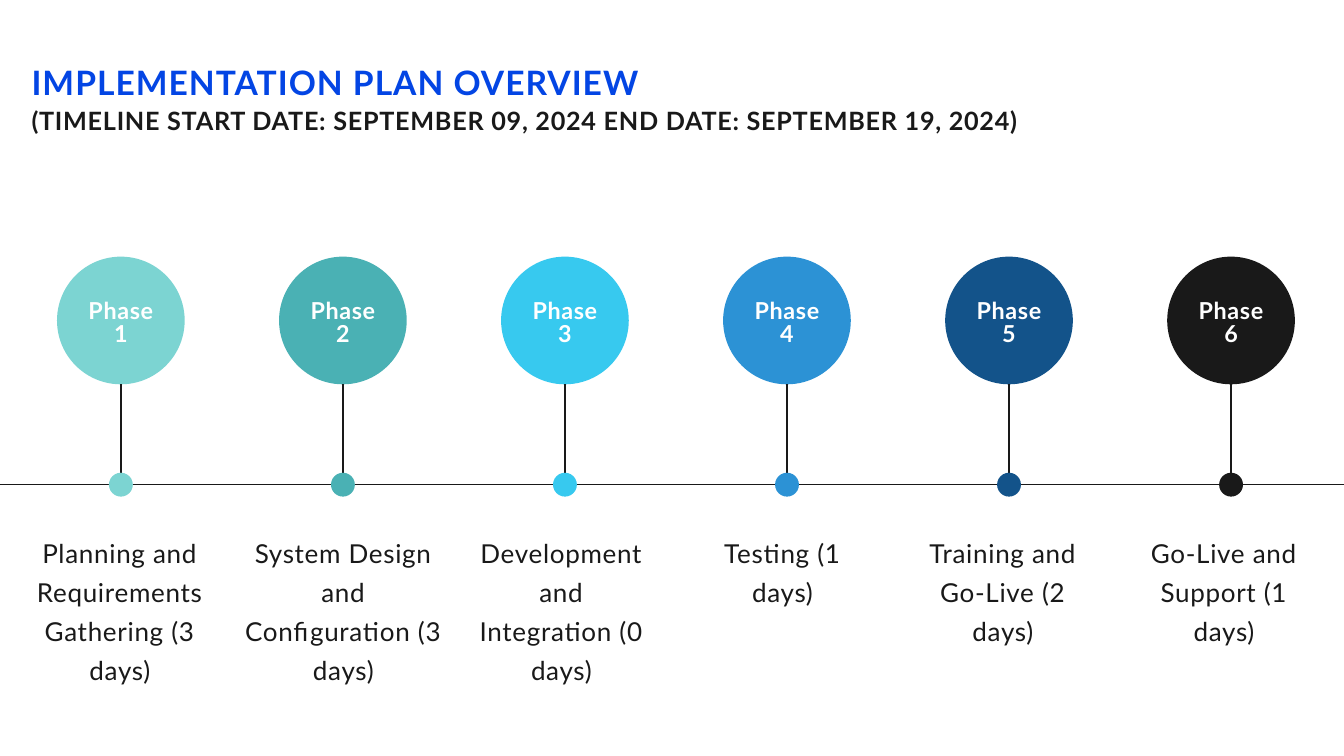
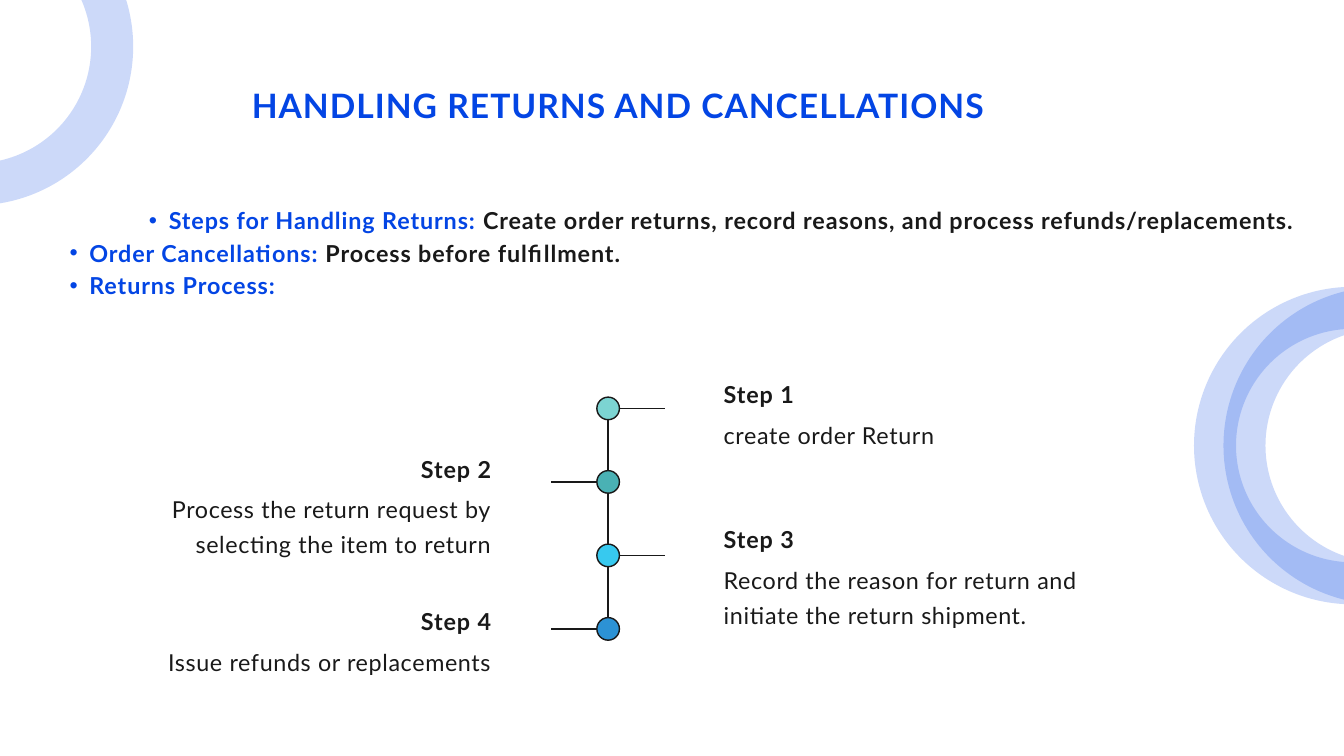
from dataclasses import dataclass

from lxml import etree
from pptx import Presentation
from pptx.dml.color import RGBColor
from pptx.enum import shapes, text
from pptx.oxml import ns
from pptx.util import Pt

BLUE = RGBColor(0x03, 0x45, 0xE4)
INK = RGBColor(0x19, 0x19, 0x19)
WHITE = RGBColor(0xFF, 0xFF, 0xFF)
AQUA = RGBColor(0x7C, 0xD4, 0xD2)
TEAL = RGBColor(0x4A, 0xB1, 0xB4)
SKY = RGBColor(0x37, 0xC9, 0xEF)
AZURE = RGBColor(0x2C, 0x92, 0xD5)
NAVY = RGBColor(0x13, 0x53, 0x8A)

FONT = "Lato"
LEFT, CENTER, RIGHT = text.PP_ALIGN.LEFT, text.PP_ALIGN.CENTER, text.PP_ALIGN.RIGHT
TITLE_STYLE = dict(size=36, bold=True, color=BLUE, tracking=1.1, leading=47.2)
SUBTITLE_STYLE = dict(size=27, bold=True, tracking=0.8, leading=35.4)
PHASE_STYLE = dict(size=25, bold=True, color=WHITE, tracking=0.7, leading=25, align=CENTER)
CAPTION_STYLE = dict(size=27.9, tracking=0.8, leading=41.9, align=CENTER)
STRONG_STYLE = dict(size=25, bold=True, tracking=1, leading=35)
DETAIL_STYLE = dict(size=25, tracking=0.7, leading=37.5)

PHASE_X, PHASE_PITCH = 129.5, 237.9
PHASE_TOP, PHASE_SIZE = 275, 136.8
TIMELINE_Y, MARKER_SIZE = 519.3, 25.6
STEP_X, STEP_Y, STEP_PITCH, STEP_SIZE = 651.6, 437.6, 78.75, 24.2
BRANCH_LENGTH = 49


@dataclass(frozen=True)
class Phase:
    caption: str
    color: RGBColor
    left: float
    width: float = 189.4
    lines: int = 4


@dataclass(frozen=True)
class Step:
    detail: str
    color: RGBColor
    top: float
    lines: int = 1


@dataclass(frozen=True)
class Ring:
    center_x: float
    center_y: float


PHASES = [
    Phase("Planning and Requirements Gathering (3 days)", AQUA, 33.8),
    Phase("System Design and Configuration (3 days)", TEAL, 261.4, 213.1),
    Phase("Development and Integration (0 days)", SKY, 506.9),
    Phase("Testing (1 days)", AZURE, 743.8, lines=2),
    Phase("Training and Go-Live (2 days)", NAVY, 979.9, lines=3),
    Phase("Go-Live and Support (1 days)", INK, 1216.8, lines=3),
]
STEPS = [
    Step("create order Return", AQUA, 402.5),
    Step("Process the return request by selecting the item to return", TEAL, 482.4, 2),
    Step("Record the reason for return and initiate the return shipment.", SKY, 558, 2),
    Step("Issue refunds or replacements", AZURE, 645.8),
]
RETURN_POINTS = [
    ("Steps for Handling Returns:",
     " Create order returns, record reasons, and process refunds/replacements.", RIGHT),
    ("Order Cancellations:", " Process before fulfillment.", LEFT),
    ("Returns Process:", "", LEFT),
]
RINGS = [Ring(1481, 477.4), Ring(-27.4, 50), Ring(1449.4, 477.4)]
RING_SIZE = 295.2


def add_bullet(paragraph) -> None:
    paragraph.level = 1
    properties = paragraph._p.get_or_add_pPr()
    properties.set("marL", str(Pt(42.5)))
    properties.set("indent", str(-Pt(21.25)))
    etree.SubElement(properties, ns.qn("a:buFont")).set("typeface", "Arial")
    etree.SubElement(properties, ns.qn("a:buChar")).set("char", "•")


def write(frame, *parts: str, size: float, leading: float, tracking: float,
          color: RGBColor = INK, tail_color: RGBColor = INK, bold: bool = False,
          align=LEFT, bullet: bool = False) -> None:
    first = frame.paragraphs[0]
    paragraph = frame.add_paragraph() if first.runs else first
    if bullet:
        add_bullet(paragraph)
    paragraph.alignment = align
    paragraph.line_spacing = Pt(leading)
    paragraph.space_before = paragraph.space_after = Pt(0)
    for index, part in enumerate(parts):
        run = paragraph.add_run()
        run.text = part
        run.font.name = FONT
        run.font.size = Pt(size)
        run.font.bold = bold
        run.font.color.rgb = tail_color if index else color
        run._r.get_or_add_rPr().set("spc", str(round(tracking * 100)))


def place(shape, left: float, top: float, width: float, height: float) -> None:
    shape.left, shape.top = Pt(left), Pt(top)
    shape.width, shape.height = Pt(width), Pt(height)


def prepare_frame(shape, anchor=text.MSO_ANCHOR.TOP, inset_top: float = 0):
    frame = shape.text_frame
    frame.word_wrap = True
    frame.auto_size = text.MSO_AUTO_SIZE.NONE
    frame.vertical_anchor = anchor
    frame.margin_left = frame.margin_right = frame.margin_bottom = Pt(0)
    frame.margin_top = Pt(inset_top)
    return frame


def place_frame(shape, left: float, top: float, width: float, height: float):
    place(shape, left, top, width, height)
    return prepare_frame(shape)


def add_label(slide, content: str, left: float, top: float, width: float,
              height: float, **style) -> None:
    box = slide.shapes.add_textbox(Pt(left), Pt(top), Pt(width), Pt(height))
    write(prepare_frame(box), content, **style)


def add_circle(slide, center_x: float, center_y: float, size: float,
               fill: RGBColor | None = None, line: RGBColor | None = None,
               line_width: float = 1.5):
    circle = slide.shapes.add_shape(
        shapes.MSO_SHAPE.OVAL, Pt(center_x - size / 2), Pt(center_y - size / 2),
        Pt(size), Pt(size))
    circle.shadow.inherit = False
    if fill is None:
        circle.fill.background()
    else:
        circle.fill.solid()
        circle.fill.fore_color.rgb = fill
    if line is None:
        circle.line.fill.background()
    else:
        circle.line.color.rgb = line
        circle.line.width = Pt(line_width)
    return circle


def add_line(slide, start_x: float, start_y: float, end_x: float, end_y: float) -> None:
    line = slide.shapes.add_connector(
        shapes.MSO_CONNECTOR.STRAIGHT, Pt(start_x), Pt(start_y), Pt(end_x), Pt(end_y))
    line.line.color.rgb = INK
    line.line.width = Pt(1.5)
    etree.SubElement(line._element.spPr, ns.qn("a:effectLst"))


def add_ring(slide, ring: Ring) -> None:
    circle = add_circle(slide, ring.center_x, ring.center_y, RING_SIZE,
                        line=BLUE, line_width=45)
    line_color = circle._element.spPr.find(".//" + ns.qn("a:ln")).find(
        ".//" + ns.qn("a:srgbClr"))
    etree.SubElement(line_color, ns.qn("a:alpha")).set("val", "20000")


def add_phase(slide, number: int, phase: Phase) -> None:
    center_x = PHASE_X + (number - 1) * PHASE_PITCH
    circle = add_circle(slide, center_x, PHASE_TOP + PHASE_SIZE / 2, PHASE_SIZE, phase.color)
    frame = prepare_frame(circle, text.MSO_ANCHOR.MIDDLE, inset_top=8)
    write(frame, "Phase", **PHASE_STYLE)
    write(frame, str(number), **PHASE_STYLE)
    add_line(slide, center_x, PHASE_TOP + PHASE_SIZE, center_x, TIMELINE_Y - MARKER_SIZE / 2)
    add_circle(slide, center_x, TIMELINE_Y, MARKER_SIZE, phase.color)
    add_label(slide, phase.caption, phase.left, 567.4, phase.width,
              phase.lines * 40.5, **CAPTION_STYLE)


def add_step(slide, number: int, step: Step) -> None:
    center_y = STEP_Y + (number - 1) * STEP_PITCH
    on_right = number % 2 == 1
    side = 1 if on_right else -1
    radius = STEP_SIZE / 2
    if number < len(STEPS):
        add_line(slide, STEP_X, center_y + radius, STEP_X, center_y + STEP_PITCH - radius)
    edge = STEP_X + side * radius
    add_line(slide, edge, center_y, edge + side * BRANCH_LENGTH, center_y)
    add_circle(slide, STEP_X, center_y, STEP_SIZE, step.color, INK)
    left, width, align = (775.4, 390.2, LEFT) if on_right else (80.6, 445.7, RIGHT)
    add_label(slide, f"Step {number}", left, step.top, width, 32.4,
              align=align, **STRONG_STYLE)
    add_label(slide, step.detail, left, step.top + 41, width, step.lines * 36,
              align=align, **DETAIL_STYLE)


def build_plan(presentation) -> None:
    slide = presentation.slides.add_slide(presentation.slide_layouts[5])
    frame = place_frame(slide.shapes.title, 33.8, 62.6, 1365, 82)
    write(frame, "IMPLEMENTATION PLAN OVERVIEW", **TITLE_STYLE)
    write(frame, "(TIMELINE START DATE: SEPTEMBER 09, 2024 END DATE: SEPTEMBER 19, 2024)",
          **SUBTITLE_STYLE)
    add_line(slide, -52.6, TIMELINE_Y, 1492.6, TIMELINE_Y)
    for number, phase in enumerate(PHASES, 1):
        add_phase(slide, number, phase)


def build_returns(presentation) -> None:
    slide = presentation.slides.add_slide(presentation.slide_layouts[1])
    title_frame = place_frame(slide.shapes.title, 231.1, 87.1, 862.6, 46)
    write(title_frame, "HANDLING RETURNS AND CANCELLATIONS", align=CENTER, **TITLE_STYLE)
    body_frame = place_frame(slide.placeholders[1], 53.3, 216, 1333.4, 136.8)
    for heading, detail, align in RETURN_POINTS:
        parts = [part for part in (heading, detail) if part]
        write(body_frame, *parts, color=BLUE, align=align, bullet=True, **STRONG_STYLE)
    for number, step in enumerate(STEPS, 1):
        add_step(slide, number, step)
    for ring in RINGS:
        add_ring(slide, ring)


def main() -> None:
    presentation = Presentation()
    presentation.slide_width, presentation.slide_height = Pt(1440), Pt(810)
    build_plan(presentation)
    build_returns(presentation)
    presentation.save("out.pptx")


if __name__ == "__main__":
    main()
